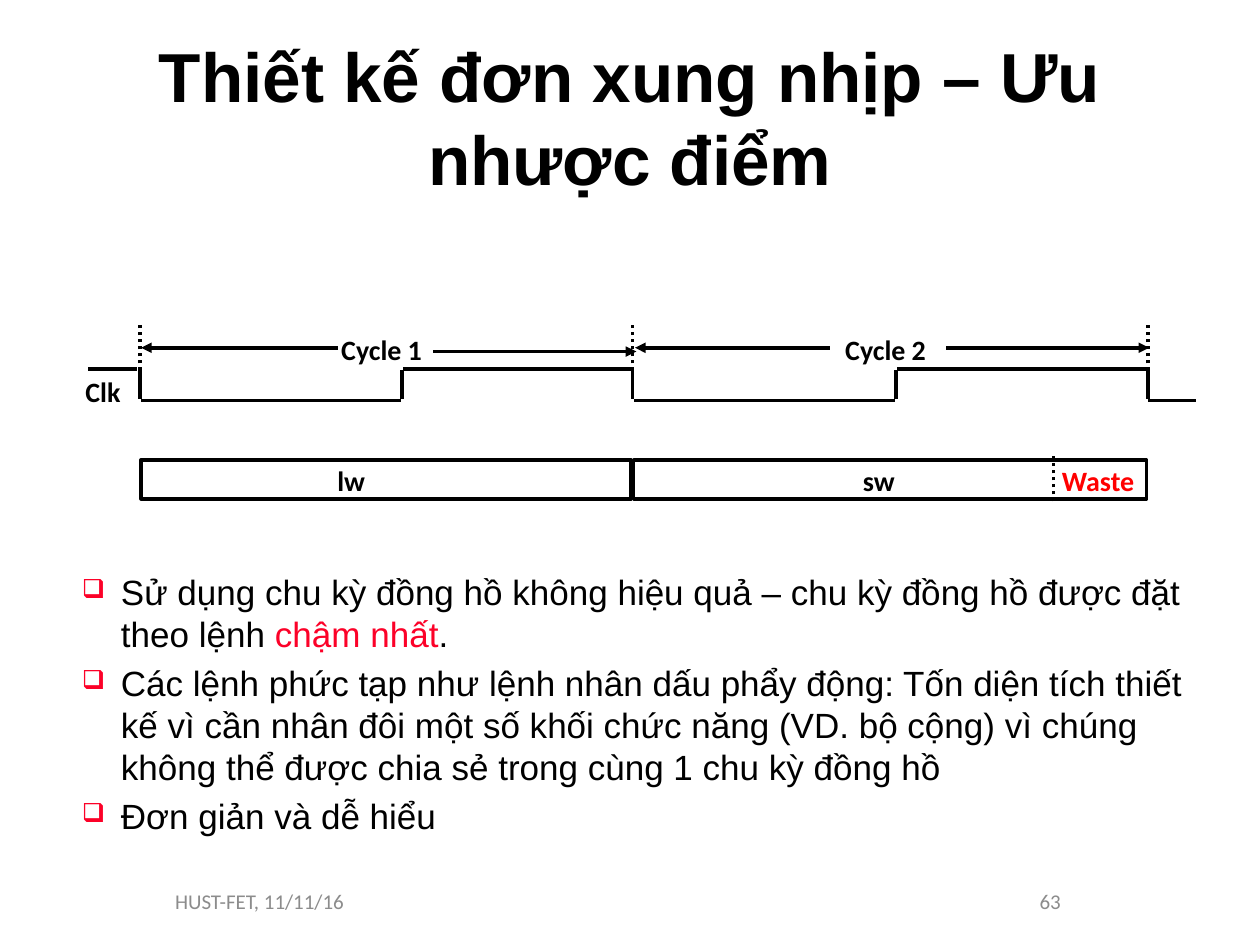
from lxml.etree import SubElement
from pptx import Presentation
from pptx.dml.color import RGBColor
from pptx.enum.dml import MSO_LINE
from pptx.enum.shapes import MSO_CONNECTOR, MSO_SHAPE
from pptx.enum.text import MSO_ANCHOR, MSO_AUTO_SIZE, PP_ALIGN
from pptx.oxml.ns import qn
from pptx.util import Inches, Pt

BLACK = RGBColor(0, 0, 0)
GRAY = RGBColor(0x8C, 0x8C, 0x8C)
RED = RGBColor(0xFF, 0, 0)
CRIMSON = RGBColor(0xFC, 0x01, 0x28)

TITLE = "Thiết kế đơn xung nhịp – Ưu nhược điểm"
BULLETS = [
    [("Sử dụng chu kỳ đồng hồ không hiệu quả – chu kỳ đồng hồ được đặt theo lệnh ", BLACK),
     ("chậm nhất", CRIMSON), (".", BLACK)],
    [("Các lệnh phức tạp như lệnh nhân dấu phẩy động: Tốn diện tích thiết kế vì cần "
      "nhân đôi một số khối chức năng (VD. bộ cộng) vì chúng không thể được chia sẻ "
      "trong cùng 1 chu kỳ đồng hồ", BLACK)],
    [("Đơn giản và dễ hiểu", BLACK)],
]
# text, left, top, width, height, alignment
FOOTERS = [
    ("HUST-FET, 11/11/16", 0.5, 6.95, 2.33, 0.4, PP_ALIGN.RIGHT),
    ("63", 7.17, 6.95, 2.33, 0.4, PP_ALIGN.CENTER),
]
# text, left, top, width, colour
LABELS = [
    ("Clk", 0.58, 2.92, 0.54, BLACK),
    ("lw", 2.58, 3.63, 0.43, BLACK),
    ("sw", 6.75, 3.63, 0.49, BLACK),
    ("Waste", 8.33, 3.63, 0.86, RED),
    ("Cycle 1", 2.61, 2.59, 0.98, BLACK),
    ("Cycle 2", 6.61, 2.59, 0.98, BLACK),
]
# Clock: falling edges bound the cycles, rising edges split them
FALLS = [1.11, 5.02, 9.11]
RISES = [3.19, 7.11]
CLOCK_START, CLOCK_END = 0.7, 9.49
HIGH, LOW = 2.93, 3.18
MARK_TOP = 2.58
GAP = 0.01
WASTE_X = 8.36
# tip x, tail x, y
ARROWS = [(1.12, 2.68, 2.76), (5.04, 6.59, 2.76), (9.12, 7.51, 2.76), (5.05, 3.44, 2.79)]


def add_line(slide, x1, y1, x2, y2, dotted=False, arrow=False):
    """Draw a black line; an arrowhead sits at its first point."""
    line = slide.shapes.add_connector(
        MSO_CONNECTOR.STRAIGHT, Inches(x1), Inches(y1), Inches(x2), Inches(y2))
    line.line.color.rgb = BLACK
    line.line.width = Pt(2)
    if dotted:
        line.line.dash_style = MSO_LINE.ROUND_DOT
    if arrow:
        SubElement(line.line._get_or_add_ln(), qn("a:headEnd"), type="triangle")
    SubElement(line._element.spPr, qn("a:effectLst"))


def format_span(span, size, color, font="Calibri", bold=False):
    span.font.name = font
    span.font.size = Pt(size)
    span.font.color.rgb = color
    span.font.bold = bold


def add_text(slide, text, left, top, width, height, size, color, bold=False):
    box = slide.shapes.add_textbox(Inches(left), Inches(top), Inches(width), Inches(height))
    box.text_frame.text = text
    format_span(box.text_frame.paragraphs[0].runs[0], size, color, bold=bold)
    return box.text_frame


def add_title(slide):
    title = slide.shapes.title
    title.left, title.top = Inches(0.5), Inches(0.3)
    title.width, title.height = Inches(9), Inches(1.25)
    frame = title.text_frame
    frame.text = TITLE
    frame.auto_size = MSO_AUTO_SIZE.NONE
    frame.vertical_anchor = MSO_ANCHOR.MIDDLE
    frame.paragraphs[0].alignment = PP_ALIGN.CENTER
    format_span(frame.paragraphs[0].runs[0], 39.6, BLACK, "Arial", True)


def add_clock(slide):
    add_line(slide, CLOCK_START, HIGH, FALLS[0] - 2 * GAP, HIGH)
    for fall, rise, next_fall in zip(FALLS, RISES, FALLS[1:]):
        add_line(slide, fall + GAP, LOW, rise - GAP, LOW)
        add_line(slide, rise + GAP, HIGH, next_fall - GAP, HIGH)
    add_line(slide, FALLS[-1], LOW, CLOCK_END, LOW)
    for edge in FALLS + RISES:
        add_line(slide, edge, HIGH + GAP, edge, LOW - GAP)
    for fall in FALLS:
        add_line(slide, fall, HIGH + GAP, fall, MARK_TOP, dotted=True)
    for tip, tail, y in ARROWS:
        add_line(slide, tip, y, tail, y, arrow=True)


def add_instructions(slide):
    for start, end in zip(FALLS, FALLS[1:]):
        bar = slide.shapes.add_shape(
            MSO_SHAPE.RECTANGLE, Inches(start + GAP), Inches(3.65),
            Inches(end - start - 2 * GAP), Inches(0.31))
        bar.shadow.inherit = False
        bar.fill.background()
        bar.line.color.rgb = BLACK
        bar.line.width = Pt(2)
    add_line(slide, WASTE_X, 3.98, WASTE_X, 3.62, dotted=True)


def add_bullets(slide):
    box = slide.shapes.add_textbox(Inches(0.58), Inches(4.5), Inches(9.25), Inches(2.21))
    frame = box.text_frame
    frame.word_wrap = True
    frame.margin_left = frame.margin_right = Inches(0.07)
    frame.margin_top = frame.margin_bottom = Inches(0.03)
    for index, spans in enumerate(BULLETS):
        para = frame.add_paragraph() if index else frame.paragraphs[0]
        para.space_before = Pt(4)
        for text, color in spans:
            span = para.add_run()
            span.text = text
            format_span(span, 20, color, "Arial")
        properties = para._p.get_or_add_pPr()
        properties.set("marL", str(Inches(0.31)))
        properties.set("indent", str(-Inches(0.31)))
        bullet_color = SubElement(properties, qn("a:buClr"))
        SubElement(bullet_color, qn("a:srgbClr"), val=str(CRIMSON))
        SubElement(properties, qn("a:buSzPct"), val="75000")
        SubElement(properties, qn("a:buChar"), char="❑")


def main():
    deck = Presentation()
    deck.slide_width, deck.slide_height = Inches(10), Inches(7.5)
    slide = deck.slides.add_slide(deck.slide_layouts[5])
    add_title(slide)
    for text, left, top, width, height, alignment in FOOTERS:
        frame = add_text(slide, text, left, top, width, height, 12, GRAY)
        frame.word_wrap = True
        frame.vertical_anchor = MSO_ANCHOR.MIDDLE
        frame.paragraphs[0].alignment = alignment
    add_bullets(slide)
    add_clock(slide)
    add_instructions(slide)
    for text, left, top, width, color in LABELS:
        frame = add_text(slide, text, left, top, width, 0.36, 16, color, bold=True)
        frame.word_wrap = False
        frame.auto_size = MSO_AUTO_SIZE.SHAPE_TO_FIT_TEXT
    deck.save("out.pptx")


if __name__ == "__main__":
    main()
